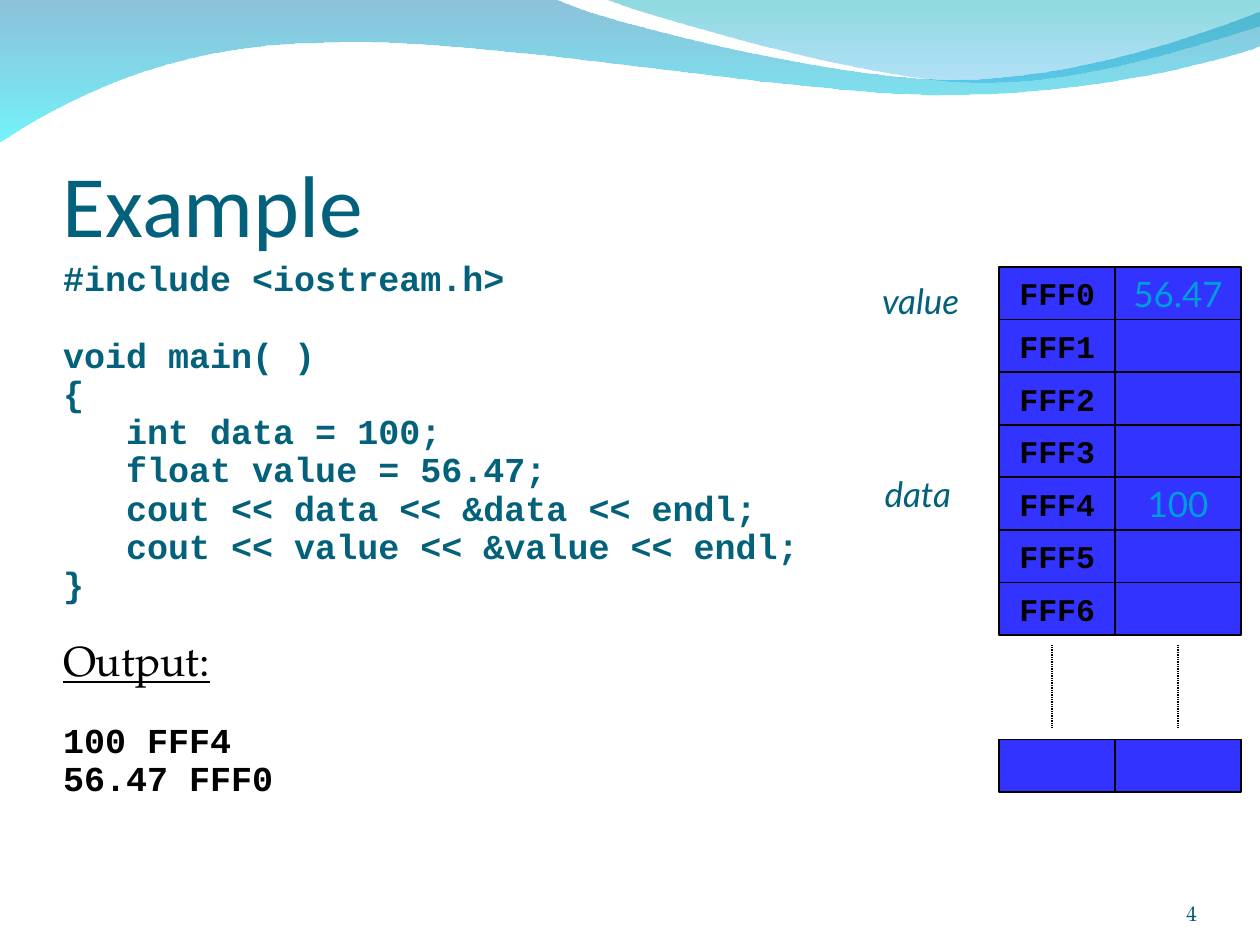
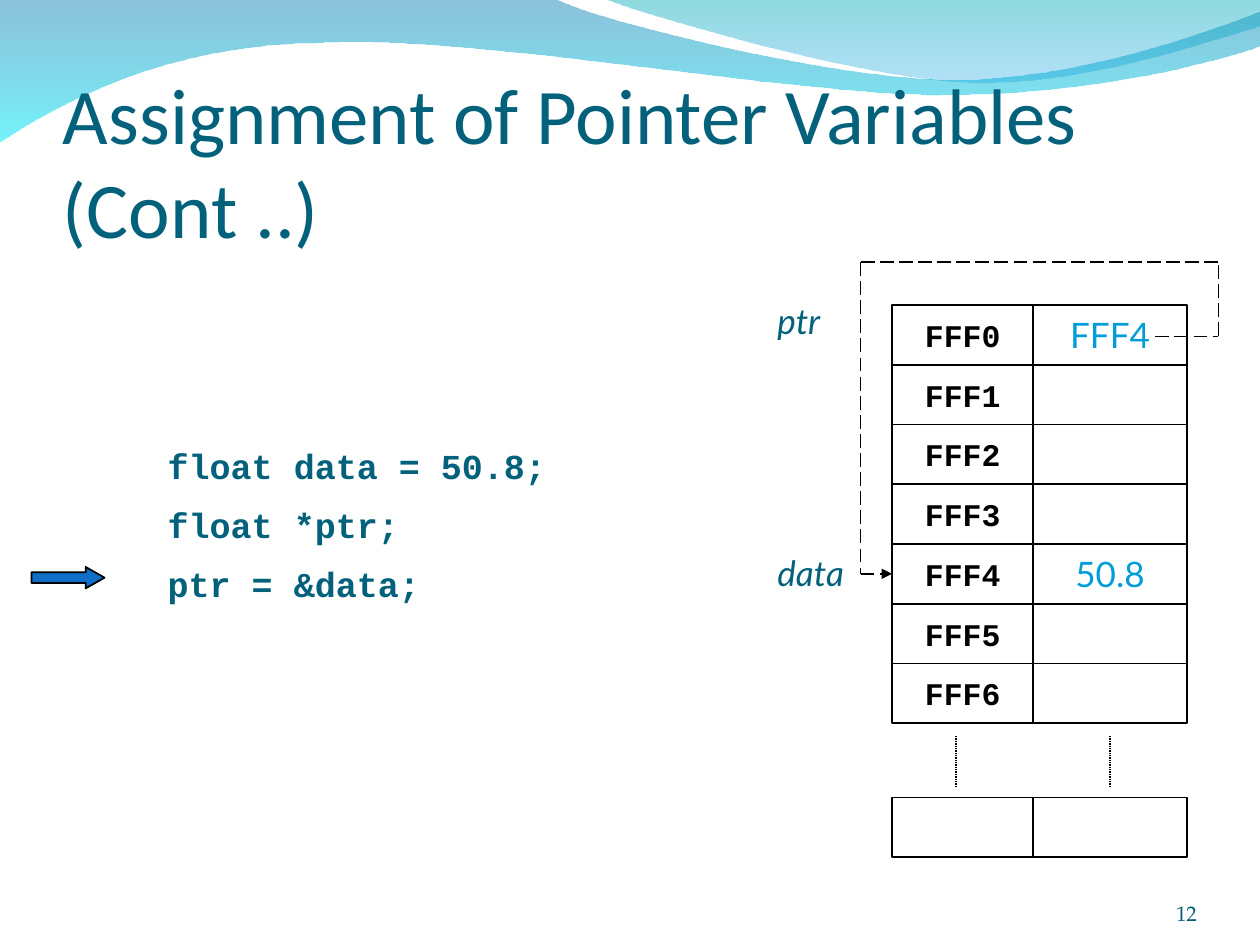
from lxml import etree
from pptx import Presentation
from pptx.dml.color import RGBColor
from pptx.enum import dml, shapes, text
from pptx.oxml import ns
from pptx.util import Inches, Pt

INK = "04617B"
BLACK = "000000"
VALUE_BLUE = "009DD9"
CELL_BLUE = "3333FF"
ARROW_BLUE = "0F6FC6"
NUMBER_INK = "045C75"
TITLE_FONT, CODE_FONT = "Calibri", "Courier New"
LABEL_FONT, SERIF_FONT = "Lato", "TeX Gyre Pagella"

# Each wave: start point, then segments of one point (line) or three (curve)
BACK_WAVE = [
    (0, -0.01), [(4.4, -0.01)],
    [(4.76, 0.17), (6.64, 0.63), (7.58, 0.63)],
    [(8.53, 0.63), (9.58, 0.26), (10, 0.09)],
    [(10.01, 0.36)],
    [(9.83, 0.44), (8.7, 0.76), (7.46, 0.75)],
    [(6.22, 0.75), (3.82, 0.28), (2.57, 0.34)],
    [(1.29, 0.35), (0.46, 0.83), (-0.01, 1.13)],
    [(0, -0.01)],
]
FRONT_WAVE = [
    (4.79, -0.01),
    [(5.09, 0.11), (6.82, 0.62), (7.69, 0.65)],
    [(8.56, 0.69), (9.61, 0.32), (10, 0.21)],
    [(10, 0)],
    [(4.79, -0.01)],
]
ADDRESSES = [f"FFF{i}" for i in range(7)]


def rgb(value):
    return RGBColor.from_string(value)


def inches(*lengths):
    return [Inches(length) for length in lengths]


def bend(path, segments):
    """Join the straight edges of each three-point segment into one curve."""
    edges = iter(path.findall(ns.qn("a:lnTo")))
    for segment in segments:
        group = [next(edges) for _ in segment]
        if len(group) == 3:
            curve = etree.Element(ns.qn("a:cubicBezTo"))
            group[0].addprevious(curve)
            for edge in group:
                curve.append(edge[0])
                path.remove(edge)


def write(frame, lines, *, size, font, color, bold=False, italic=False,
          align=text.PP_ALIGN.LEFT, anchor=text.MSO_ANCHOR.TOP,
          insets=(0, 0.05, 0, 0.05), wrap=True, spacing=None, before=0):
    """Fill a frame; a line is a string or a (string, overrides) pair."""
    frame.word_wrap = wrap
    frame.vertical_anchor = anchor
    (frame.margin_left, frame.margin_top,
     frame.margin_right, frame.margin_bottom) = inches(*insets)
    for i, line in enumerate(lines):
        words, own = (line, {}) if isinstance(line, str) else line
        paragraph = frame.paragraphs[0] if i == 0 else frame.add_paragraph()
        paragraph.alignment = align
        if spacing:
            paragraph.line_spacing = spacing
        if i:
            paragraph.space_before = Pt(own.get("before", before))
        run = paragraph.add_run()
        run.text = words
        run.font.size = Pt(own.get("size", size))
        run.font.name = own.get("font", font)
        run.font.color.rgb = rgb(own.get("color", color))
        run.font.bold = own.get("bold", bold)
        run.font.italic = italic
        run.font.underline = own.get("underline", False)


class Deck:
    """Holds the presentation's style and the slide being drawn."""

    def __init__(self):
        self.file = Presentation()
        self.file.slide_width, self.file.slide_height = inches(10, 7.5)
        self.slide = None

    def new_slide(self, title, title_size, number):
        self.slide = self.file.slides.add_slide(self.file.slide_layouts[6])
        self.wave(BACK_WAVE, ("0079AF", 45), ("00EBF8", 55))
        self.wave(FRONT_WAVE, ("00ADB6", 45), ("009BE5", 30))
        self.text(0.5, 0.77, 9, 1.25, [title], size=title_size, font=TITLE_FONT,
                  color=INK, anchor=text.MSO_ANCHOR.BOTTOM, insets=(0, 0.05, 0, 0))
        self.text(8.67, 6.95, 0.83, 0.4, [number], size=12, font=SERIF_FONT,
                  color=NUMBER_INK, align=text.PP_ALIGN.RIGHT,
                  anchor=text.MSO_ANCHOR.BOTTOM, insets=(0, 0, 0, 0))

    def wave(self, outline, *stops):
        """Draw a wave shaded downwards; a stop is (colour, opacity percent)."""
        start, *segments = outline
        builder = self.slide.shapes.build_freeform(*inches(*start))
        builder.add_line_segments(
            [inches(*point) for segment in segments for point in segment], close=True)
        band = builder.convert_to_shape()
        bend(next(band.element.iter(ns.qn("a:path"))), segments)
        band.shadow.inherit = False
        band.line.fill.background()
        band.fill.gradient()
        band.fill.gradient_angle = 270
        for position, (stop, (color, _)) in enumerate(zip(band.fill.gradient_stops, stops)):
            stop.color.rgb = rgb(color)
            stop.position = position
        for node, (_, opacity) in zip(band.element.iter(ns.qn("a:srgbClr")), stops):
            etree.SubElement(node, ns.qn("a:alpha"), val=str(opacity * 1000))

    def text(self, left, top, width, height, lines, **style):
        box = self.slide.shapes.add_textbox(*inches(left, top, width, height))
        write(box.text_frame, lines, **style)

    def code(self, left, top, width, height, lines, **style):
        self.text(left, top, width, height, lines, size=20, font=CODE_FONT,
                  color=INK, bold=True, before=5, **style)

    def label(self, left, top, name):
        self.text(left, top, 0.75, 0.44, [name], size=20, font=LABEL_FONT,
                  color=INK, italic=True)

    def shape(self, kind, left, top, width, height, fill=None):
        block = self.slide.shapes.add_shape(kind, *inches(left, top, width, height))
        block.shadow.inherit = False
        if fill:
            block.fill.solid()
            block.fill.fore_color.rgb = rgb(fill)
        else:
            block.fill.background()
        block.line.color.rgb = rgb(BLACK)
        block.line.width = Pt(1)
        return block

    def cell(self, left, top, width, height, fill, content="", **style):
        block = self.shape(shapes.MSO_SHAPE.RECTANGLE, left, top, width, height, fill)
        if content:
            write(block.text_frame, [content], align=text.PP_ALIGN.CENTER,
                  anchor=text.MSO_ANCHOR.MIDDLE, insets=(0.1, 0.05, 0.1, 0.05),
                  wrap=False, **style)
        return block

    def line(self, start, end, dash=None, arrow=False):
        """Draw a line; without a named dash it is finely dotted."""
        link = self.slide.shapes.add_connector(
            shapes.MSO_CONNECTOR.STRAIGHT, *inches(*start, *end))
        link.line.color.rgb = rgb(BLACK)
        link.line.width = Pt(1)
        outline = link.element.spPr.find(ns.qn("a:ln"))
        if dash:
            link.line.dash_style = dash
        else:
            dots = etree.SubElement(outline, ns.qn("a:custDash"))
            etree.SubElement(dots, ns.qn("a:ds"), d="50000", sp="50000")
        if arrow:
            etree.SubElement(outline, ns.qn("a:tailEnd"), type="triangle")
        etree.SubElement(link.element.spPr, ns.qn("a:effectLst"))
        return link

    def memory(self, left, top, widths, height, last_top, gap, values, fill=None):
        """Draw the address and value columns, and the last row after a gap.

        gap is (top, bottom, x positions) of the dotted lines.
        Returns the address cells by address.
        """
        row_height = height / len(ADDRESSES)
        value_left = left + widths[0]
        address_cells = {}
        for row, address in enumerate(ADDRESSES):
            row_top = top + row * row_height
            self.cell(value_left, row_top, widths[1], row_height, fill,
                      values.get(address, ""), size=20, font=LABEL_FONT, color=VALUE_BLUE)
            address_cells[address] = self.cell(
                left, row_top, widths[0], row_height, fill, address,
                size=18, font=CODE_FONT, color=BLACK, bold=True)
        for cell_left, width in zip((left, value_left), widths):
            self.cell(cell_left, last_top, width, row_height, fill)
        gap_top, gap_bottom, gap_xs = gap
        for x in gap_xs:
            self.line((x, gap_top), (x, gap_bottom))
        return address_cells


def example_slide(deck):
    deck.new_slide("Example", 50, "4")
    output = {"color": BLACK}
    deck.code(0.5, 2.08, 6.75, 4.75, [
        "#include <iostream.h>",
        ("void main( )", {"before": 27}),
        "{",
        "   int data = 100;",
        "   float value = 56.47;",
        "   cout << data << &data << endl;",
        "   cout << value << &value << endl;",
        "}",
        ("Output:", {**output, "before": 25.5, "size": 24, "font": SERIF_FONT,
                     "bold": False, "underline": True}),
        ("100 FFF4", {**output, "before": 26.5}),
        ("56.47 FFF0", output),
    ], spacing=0.7)
    deck.memory(7.93, 2.12, (0.92, 1), 2.92, 5.87, (5.12, 5.78, (8.35, 9.35)),
                {"FFF0": "56.47", "FFF4": "100"}, CELL_BLUE)
    deck.label(7, 2.17, "value")
    deck.label(7.02, 3.7, "data")


def pointer_slide(deck):
    deck.new_slide("Assignment of Pointer Variables (Cont ..)", 45, "12")
    deck.code(0.83, 2, 4.25, 4.5, [
        "   float data = 50.8;",
        "   float *ptr;",
        "   ptr = &data;",
    ], spacing=1.2, insets=(0, 1.46, 0, 0.05))
    address_cells = deck.memory(
        7.08, 2.42, (1.12, 1.22), 3.32, 6.33, (5.84, 6.25, (7.59, 8.81)),
        {"FFF0": "FFF4", "FFF4": "50.8"})
    deck.label(6.17, 2.33, "ptr")
    deck.label(6.17, 4.33, "data")

    target = address_cells["FFF4"]
    target_y = (target.top + target.height / 2) / Inches(1)
    route = [(9.17, 2.67), (9.67, 2.67), (9.67, 2.08), (6.83, 2.08), (6.83, target_y)]
    for start, end in zip(route, route[1:]):
        deck.line(start, end, dml.MSO_LINE.LONG_DASH)
    pointer = deck.line(route[-1], (7.08, target_y), dml.MSO_LINE.LONG_DASH, arrow=True)
    pointer.end_connect(target, 1)

    step_arrow = deck.shape(shapes.MSO_SHAPE.RIGHT_ARROW, 0.25, 4.5, 0.58, 0.17, ARROW_BLUE)
    step_arrow.adjustments[1] = 0.88


def main():
    deck = Deck()
    example_slide(deck)
    pointer_slide(deck)
    deck.file.save("out.pptx")


if __name__ == "__main__":
    main()
